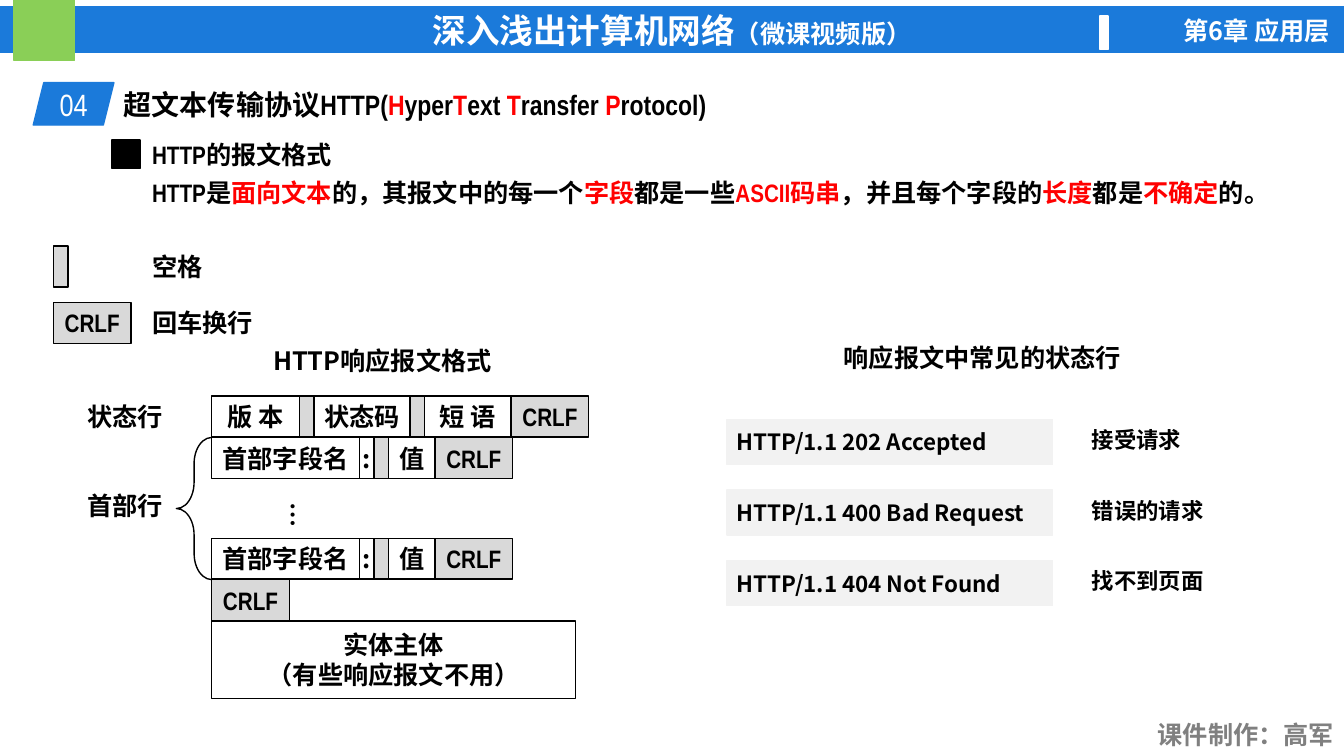
import dataclasses

import lxml.etree
import pptx
import pptx.dml.color
import pptx.enum.shapes
import pptx.enum.text
import pptx.oxml.ns
import pptx.util

KIND = pptx.enum.shapes.MSO_SHAPE
ALIGN = pptx.enum.text.PP_ALIGN
ANCHOR = pptx.enum.text.MSO_ANCHOR
CELL = pptx.util.Inches(0.1)
COLS, ROWS = 133.3, 75


@dataclasses.dataclass(frozen=True)
class Theme:
    """Colours, fonts and type sizes of the slide."""
    blue: str = "1B7ADA"
    green: str = "8ACF57"
    white: str = "FFFFFF"
    black: str = "000000"
    red: str = "FF0000"
    gray: str = "D9D9D9"
    pale: str = "F2F2F2"
    dim: str = "808080"
    slim: str = "Arial Narrow"
    sans: str = "Noto Sans CJK SC"
    title: int = 24
    number: int = 22
    head: int = 20
    body: int = 18
    small: int = 16


THEME = Theme()
HIGH = 4.06
STEP = 4.1
LEFT = 21
SPACE = ("", 1.45)
CRLF = ("CRLF", 7.7)
STATUS = [("版 本", 8.7), SPACE, ("状态码", 9.5), SPACE, ("短 语", 8.6), CRLF]
FIELD = [("首部字段名", 14.65), (":", 1.45), SPACE, ("值", 4.6), CRLF]
CODES = [
    ("HTTP/1.1 202 Accepted", "接受请求"),
    ("HTTP/1.1 400 Bad Request", "错误的请求"),
    ("HTTP/1.1 404 Not Found", "找不到页面"),
]


def rgb(code):
    """Turn a hex code into a colour."""
    return pptx.dml.color.RGBColor.from_string(code)


def span(*cells):
    """Turn grid cells into slide lengths."""
    return [round(n * CELL) for n in cells]


def write(shape, text, font=THEME.sans, size=THEME.body, color=THEME.black,
          bold=True, align=ALIGN.LEFT, anchor=ANCHOR.TOP):
    """Fill a shape with text, with every second part between bars in red."""
    frame = shape.text_frame
    frame.word_wrap = True
    frame.vertical_anchor = anchor
    for at, line in enumerate(text.split("\n")):
        para = frame.add_paragraph() if at else frame.paragraphs[0]
        para.alignment = align
        face = para.font
        face.name, face.size, face.bold = font, pptx.util.Pt(size), bold
        face.color.rgb = rgb(color)
        latin = para._p.pPr.find(".//" + pptx.oxml.ns.qn("a:latin"))
        east = lxml.etree.Element(pptx.oxml.ns.qn("a:ea"), typeface=THEME.sans)
        latin.addnext(east)
        for turn, part in enumerate(line.split("|")):
            run = para.add_run()
            run.text = part
            if turn % 2:
                run.font.color.rgb = rgb(THEME.red)
    return frame


def label(slide, text, x, y, w, h=4, **style):
    """Add a text box on the grid."""
    return write(slide.shapes.add_textbox(*span(x, y, w, h)), text, **style)


def block(slide, x, y, w, h, fill=None, line=None, kind=KIND.RECTANGLE):
    """Add a flat shape on the grid."""
    shape = slide.shapes.add_shape(kind, *span(x, y, w, h))
    shape.shadow.inherit = False
    if fill:
        shape.fill.solid()
        shape.fill.fore_color.rgb = rgb(fill)
    else:
        shape.fill.background()
    shape.line.color.rgb = rgb(line or fill or THEME.black)
    shape.line.width = pptx.util.Pt(1)
    return shape


def field(slide, text, x, y, w, h=HIGH):
    """Add one outlined field of the message."""
    dark = text in ("", "CRLF")
    shape = block(slide, x, y, w, h, THEME.gray if dark else None, THEME.black)
    if text:
        font = THEME.slim if dark else THEME.sans
        frame = write(shape, text, font, align=ALIGN.CENTER, anchor=ANCHOR.MIDDLE)
        frame.margin_left = frame.margin_right = 0
        frame.word_wrap = False


def strip(slide, y, parts):
    """Lay fields side by side."""
    x = LEFT
    for text, w in parts:
        field(slide, text, x, y, w)
        x += w


def banner(slide):
    """Draw the top bar and the credit line."""
    bar = block(slide, 0, 0.7, COLS, 4.5, THEME.blue)
    frame = write(bar, "深入浅出计算机网络", THEME.slim, THEME.title, THEME.white,
                  align=ALIGN.CENTER, anchor=ANCHOR.MIDDLE)
    run = frame.paragraphs[0].add_run()
    run.text = "（微课视频版）"
    run.font.size = pptx.util.Pt(THEME.body)
    block(slide, 1.4, 0, 6, 6, THEME.green)
    block(slide, 109.1, 1.6, 0.8, 3.3, THEME.white)
    label(slide, "第6章 应用层", 111.1, 1, 21.8, color=THEME.white, align=ALIGN.RIGHT)
    label(slide, "课件制作：高军", 113.4, 70.9, 19.9, font=THEME.slim,
          color=THEME.dim, align=ALIGN.RIGHT)


def intro(slide):
    """Draw the section heading and the opening lines."""
    tag = block(slide, 3.3, 8.2, 8, 4.2, THEME.blue, kind=KIND.PARALLELOGRAM)
    write(tag, "04", THEME.slim, THEME.number, THEME.white, False,
          ALIGN.CENTER, ANCHOR.MIDDLE)
    label(slide, "超文本传输协议HTTP(|H|yper|T|ext |T|ransfer |P|rotocol)",
          11.3, 8.2, 61.9, 4.4, font=THEME.slim, size=THEME.head)
    block(slide, 11.1, 13.9, 2.8, 2.8, THEME.black)
    lines = [
        "HTTP的报文格式",
        "HTTP是|面向文本|的，其报文中的每一个|字段|都是一些|ASCII码串|"
        "，并且每个字段的|长度|都是|不确定|的。",
    ]
    for row, text in enumerate(lines):
        label(slide, text, 14.1, 13 + 3.7 * row, 115.9, 4.7,
              font=THEME.slim, anchor=ANCHOR.MIDDLE)


def legend(slide):
    """Explain the gray fields."""
    keys = [(SPACE, "空格", 8.7), (CRLF, "回车换行", 12.5)]
    for row, ((text, wide), note, w) in enumerate(keys):
        y = 24.4 + 5.6 * row
        field(slide, text, 5.3, y, wide)
        label(slide, note, 14.1, y, w)


def message(slide):
    """Draw the layout of a response message."""
    top, last = 39.3, 53.4
    first = top + STEP
    label(slide, "HTTP响应报文格式", 26.1, 33.8, 25)
    label(slide, "状态行", 7.7, top, 9.7)
    label(slide, "首部行", 7.7, 48.2, 9.7)
    rows = [(top, STATUS), (first, FIELD), (last, FIELD), (last + STEP, [CRLF])]
    for y, parts in rows:
        strip(slide, y, parts)
    field(slide, "实体主体\n（有些响应报文不用）", LEFT, last + 2 * STEP, 36.1, 7.7)
    dots = label(slide, "…", 26.1, 48.9, 5, 2.5)
    dots._txBody.bodyPr.set("vert", "eaVert")
    brace = block(slide, 17.5, first, 3.5, last + STEP - first,
                  kind=KIND.LEFT_BRACE)
    brace.adjustments[0], brace.adjustments[1] = 0.74, 0.5


def codes(slide):
    """List common status lines with their meaning."""
    label(slide, "响应报文中常见的状态行", 82.7, 33.5, 29.8)
    for row, (text, note) in enumerate(CODES):
        y = 41.6 + 7 * row
        card = block(slide, 72.1, y, 32.3, 4.5, THEME.pale)
        write(card, text, size=THEME.small, anchor=ANCHOR.MIDDLE)
        label(slide, note, 107.3, y + 0.2, 23.1, 3.7, size=THEME.small)


def main():
    """Build and save the slide."""
    deck = pptx.Presentation()
    deck.slide_width, deck.slide_height = span(COLS, ROWS)
    slide = deck.slides.add_slide(deck.slide_layouts[6])
    for part in (banner, intro, legend, message, codes):
        part(slide)
    deck.save("out.pptx")


if __name__ == "__main__":
    main()
